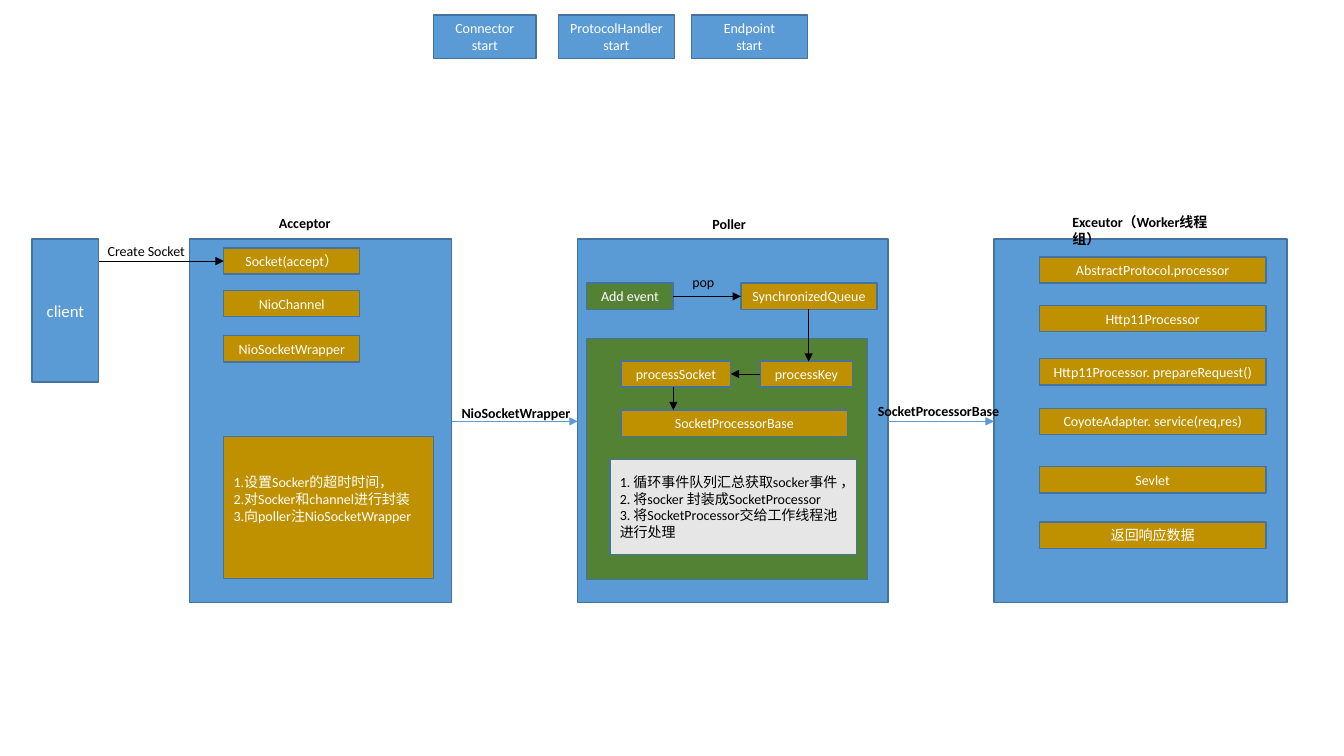
from pptx import Presentation
from pptx.dml.color import RGBColor
from pptx.enum.shapes import MSO_CONNECTOR, MSO_SHAPE
from pptx.enum.text import MSO_ANCHOR, PP_ALIGN
from pptx.oxml.ns import qn
from pptx.util import Pt
from lxml import etree

RECT, STRAIGHT = MSO_SHAPE.RECTANGLE, MSO_CONNECTOR.STRAIGHT
LEFT, CENTER = PP_ALIGN.LEFT, PP_ALIGN.CENTER
MIDDLE, TOP = MSO_ANCHOR.MIDDLE, MSO_ANCHOR.TOP

BLUE = RGBColor(0x5B, 0x9B, 0xD5)
EDGE = RGBColor(0x43, 0x73, 0x9E)
GOLD = RGBColor(0xBF, 0x90, 0x00)
GREEN = RGBColor(0x54, 0x82, 0x35)
GREY = RGBColor(0xE7, 0xE6, 0xE6)
WHITE = RGBColor(0xFF, 0xFF, 0xFF)
BLACK = RGBColor(0, 0, 0)

FONT = "Calibri"
PANEL_TOP, PANEL_HEIGHT = 170.6, 259.9
STEP_HEIGHT, LABEL_HEIGHT = 18.7, 19.4
FLOW_Y = 301

# Start sequence: name, left, width
STARTERS = [("Connector", 309.6, 73.4), ("ProtocolHandler", 398.9, 82.8),
            ("Endpoint", 493.9, 82.8)]

# Thread panels: left, width
ACCEPTOR, POLLER, EXECUTOR = (135.4, 187.2), (412.6, 221.8), (709.9, 209.5)

# Columns of equal steps: left, width, {text: top}
STEP_COLUMNS = [
    (159.8, 97.2, {"Socket(accept）": 177.1, "NioChannel": 207.4,
                   "NioSocketWrapper": 239.8}),
    (742.3, 162, {"AbstractProtocol.processor": 183.6,
                  "Http11Processor": 218.2,
                  "Http11Processor. prepareRequest()": 256.3,
                  "CoyoteAdapter. service(req,res)": 291.6,
                  "Sevlet": 333.4,
                  "返回响应数据": 373}),
]

# Poller steps: text, left, top, width, fill
POLLER_STEPS = [
    ("Add event", 419, 202.3, 61.9, GREEN),
    ("SynchronizedQueue", 529.2, 202.3, 97.2, GOLD),
    ("processKey", 542.9, 257.8, 66.2, GOLD),
    ("processSocket", 443.5, 257.8, 78.5, GOLD),
    ("SocketProcessorBase", 443.5, 293, 162, GOLD),
]

ACCEPTOR_NOTES = ["1.设置Socker的超时时间，", "2.对Socker和channel进行封装",
                  "3.向poller注NioSocketWrapper"]
POLLER_NOTES = ["1. 循环事件队列汇总获取socker事件 ，",
                "2. 将socker 封装成SocketProcessor",
                "3. 将SocketProcessor交给工作线程池进行处理"]

# Labels: text, left, top, width, bold, wrap
LABELS = [
    ("Acceptor", 192.2, 149.8, 64.8, True, True),
    ("Poller", 501.8, 150.5, 42.5, True, True),
    ("Exceutor（Worker线程组）", 758.9, 149, 129.6, True, True),
    ("NioSocketWrapper", 322.6, 285.1, 96.5, True, True),
    ("SocketProcessorBase", 619.9, 283.7, 104.4, True, True),
    ("Create Socket", 69.8, 169.9, 71.3, False, False),
    ("pop", 487.4, 191.5, 30.2, False, False),
]

# Arrows: from x, from y, to x, to y, colour
ARROWS = [
    (sum(ACCEPTOR), FLOW_Y, POLLER[0], FLOW_Y, BLUE),
    (sum(POLLER), FLOW_Y, EXECUTOR[0], FLOW_Y, BLUE),
    (70.5, 186.5, 159.8, 186.5, BLACK),
    (480.9, 211.7, 529.2, 211.7, BLACK),
    (577.6, 221, 577.6, 258.3, BLACK),
    (542.9, 267.1, 522, 267.1, BLACK),
    (481, 276.5, 481, 293, BLACK),
]

deck = Presentation()
deck.slide_width, deck.slide_height = Pt(960), Pt(540)
slide = deck.slides.add_slide(deck.slide_layouts[6])


def write(frame, lines, color, align, size=10, bold=False):
    frame.text = "\n".join(lines)
    for paragraph in frame.paragraphs:
        paragraph.alignment = align
        font = paragraph.font
        font.name, font.size, font.bold = FONT, Pt(size), bold
        font.color.rgb = color


def add_box(left, top, width, height, fill, lines=(), color=WHITE,
            align=CENTER, size=10):
    box = slide.shapes.add_shape(RECT, Pt(left), Pt(top), Pt(width), Pt(height))
    box.shadow.inherit = False
    box.fill.solid()
    box.fill.fore_color.rgb = fill
    box.line.color.rgb = EDGE
    box.line.width = Pt(1)
    if lines:
        box.text_frame.word_wrap = True
        box.text_frame.vertical_anchor = MIDDLE
        write(box.text_frame, lines, color, align, size)
    return box


def add_label(text, left, top, width, bold, wrap):
    label = slide.shapes.add_textbox(Pt(left), Pt(top), Pt(width), Pt(LABEL_HEIGHT))
    label.text_frame.word_wrap = wrap
    label.text_frame.vertical_anchor = TOP
    write(label.text_frame, [text], BLACK, LEFT, bold=bold)


def add_arrow(x1, y1, x2, y2, color):
    arrow = slide.shapes.add_connector(STRAIGHT, Pt(x1), Pt(y1), Pt(x2), Pt(y2))
    arrow.line.color.rgb = color
    arrow.line.width = Pt(0.5)
    etree.SubElement(arrow.line._get_or_add_ln(), qn("a:tailEnd"), type="triangle")
    etree.SubElement(arrow._element.spPr, qn("a:effectLst"))


# Start sequence and client
for name, left, width in STARTERS:
    add_box(left, 10.8, width, 31, BLUE, [name, "start"])
add_box(23, PANEL_TOP, 47.5, 102.2, BLUE, ["client"], size=12)

# Thread panels, with the poller's processing area
for left, width in (EXECUTOR, POLLER, ACCEPTOR):
    add_box(left, PANEL_TOP, width, PANEL_HEIGHT, BLUE)
add_box(419, 241.9, 200.9, 172.1, GREEN)

# Steps
for left, width, steps in STEP_COLUMNS:
    for text, top in steps.items():
        add_box(left, top, width, STEP_HEIGHT, GOLD, [text])
for text, left, top, width, fill in POLLER_STEPS:
    add_box(left, top, width, STEP_HEIGHT, fill, [text])

# Notes; the deeper bottom margin lifts the acceptor text
acceptor_note = add_box(159.8, 311.8, 149.8, 101.5, GOLD, ACCEPTOR_NOTES, align=LEFT)
acceptor_note.text_frame.margin_bottom = Pt(15.8)
add_box(435.6, 328.3, 176.4, 67.7, GREY, POLLER_NOTES, BLACK, LEFT)

# Arrows and labels
for arrow_row in ARROWS:
    add_arrow(*arrow_row)
for label_row in LABELS:
    add_label(*label_row)

deck.save("out.pptx")
